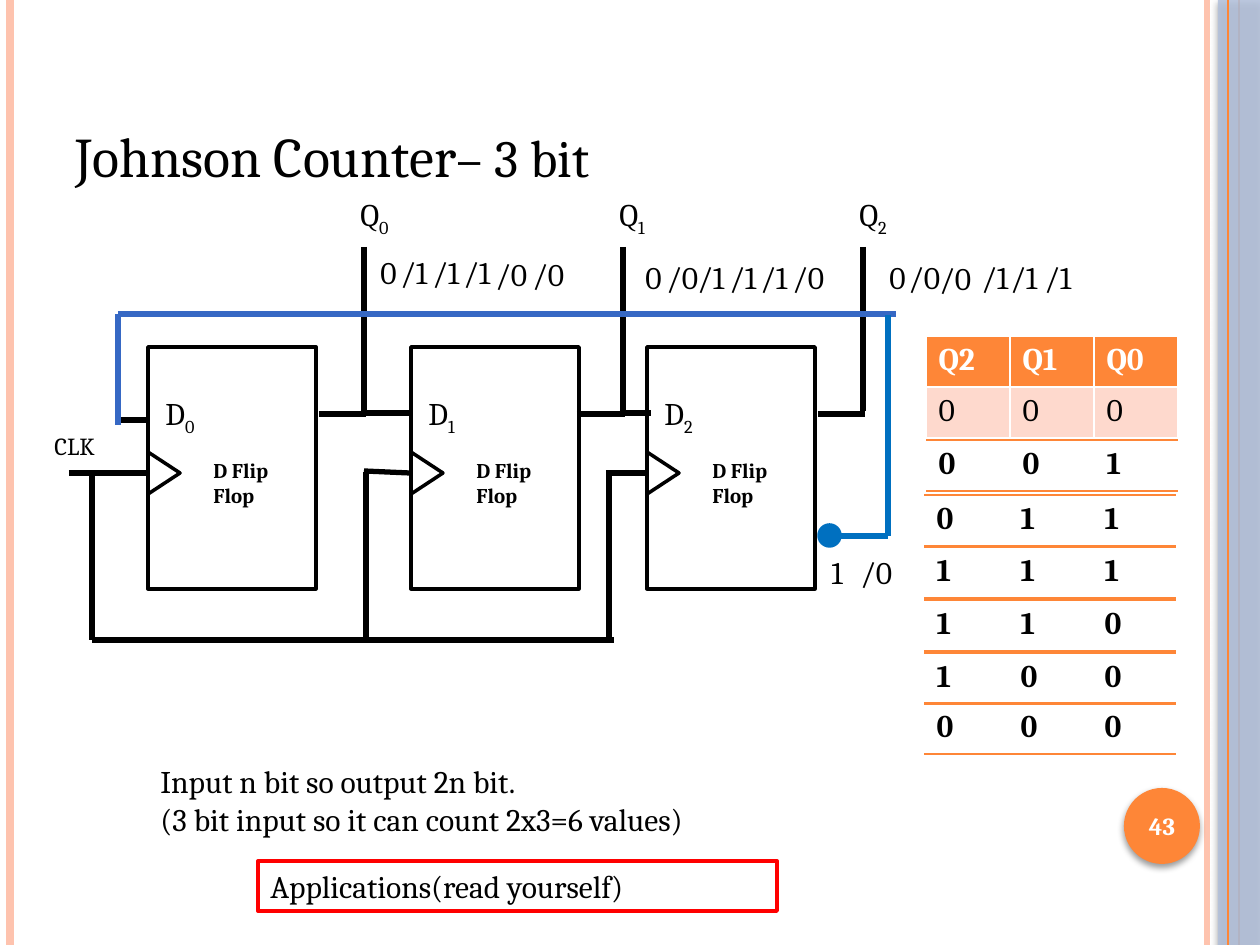
from dataclasses import dataclass
from lxml import etree
from pptx import Presentation
from pptx.dml.color import RGBColor
from pptx.enum.shapes import MSO_CONNECTOR, MSO_SHAPE
from pptx.enum.text import MSO_ANCHOR, PP_ALIGN
from pptx.oxml.ns import qn
from pptx.util import Emu, Pt

RECT, OVAL, WEDGE = MSO_SHAPE.RECTANGLE, MSO_SHAPE.OVAL, MSO_SHAPE.ISOSCELES_TRIANGLE
STRAIGHT = MSO_CONNECTOR.STRAIGHT
TOP, MID, LOW = MSO_ANCHOR.TOP, MSO_ANCHOR.MIDDLE, MSO_ANCHOR.BOTTOM
LEFT, MIDST = PP_ALIGN.LEFT, PP_ALIGN.CENTER
BLACK, WHITE, ORANGE, PEACH = "000000", "FFFFFF", "FE8637", "FEC3AE"
PINK, BLUE, NAVY, RED, STEEL = "FED9CD", "0070C0", "3668C4", "FF0000", "B3C1DB"


def px(n):
    return Emu(round(n * 914400 / 126))


def rgb(code):
    return RGBColor.from_string(code)


def node(root, tag, **attrs):
    return etree.SubElement(root, qn(tag), attrs)


@dataclass
class Board:
    """Draws styled elements on the current slide."""
    slide: object
    face: str = "Cambria"

    def style(self, para, size, color, bold):
        font = para.font
        font.name, font.size, font.bold = self.face, Pt(size), bold
        font.color.rgb = rgb(color)

    def fill(self, frame, text, size=18, color=BLACK, bold=False, align=LEFT, anchor=TOP):
        frame.word_wrap = True
        frame.vertical_anchor = anchor
        for i, line in enumerate(text.split("\n")):
            para = frame.add_paragraph() if i else frame.paragraphs[0]
            para.add_run().text = line
            para.alignment = align
            self.style(para, size, color, bold)
        return para

    def text(self, x, y, w, h, words, **look):
        box = self.slide.shapes.add_textbox(px(x), px(y), px(w), px(h))
        return self.fill(box.text_frame, words, **look)

    def label(self, x, y, name, sub):
        run = self.text(x, y, 79, 55, name).add_run()
        run.text = str(sub)
        run._r.get_or_add_rPr().set("baseline", "-25000")

    def line(self, x1, y1, x2, y2, color=BLACK, width=3):
        wire = self.slide.shapes.add_connector(STRAIGHT, px(x1), px(y1), px(x2), px(y2))
        wire.line.color.rgb = rgb(color)
        wire.line.width = Pt(width)
        node(wire._element.spPr, "a:effectLst")

    def shape(self, kind, x, y, w, h, fill=None, line=None, width=2, alpha=100, glow=False):
        item = self.slide.shapes.add_shape(kind, px(x), px(y), px(w), px(h))
        item.shadow.inherit = False
        if fill:
            item.fill.solid()
            item.fill.fore_color.rgb = rgb(fill)
            tint = item._element.spPr.find(".//" + qn("a:srgbClr"))
            if alpha < 100:
                node(tint, "a:alpha", val=str(alpha * 1000))
        else:
            item.fill.background()
        if line:
            item.line.color.rgb = rgb(line)
            item.line.width = Pt(width)
        else:
            item.line.fill.background()
        if glow:
            blur = node(item._element.spPr.find(qn("a:effectLst")), "a:outerShdw",
                        blurRad=str(Pt(4)), dist=str(Pt(2)), dir="5400000", rotWithShape="0")
            node(node(blur, "a:srgbClr", val=BLACK), "a:alpha", val="40000")
        return item

    def table(self, x, y, rows, fills=(None,), inks=(BLACK,), bolds=(True,)):
        grid = self.slide.shapes.add_table(
            len(rows), 3, px(x), px(y), px(252), px(51 * len(rows))).table
        grid.first_row = fills[0] is not None
        grid.horz_banding = False
        for r, row in enumerate(rows):
            for c, word in enumerate(row):
                cell = grid.cell(r, c)
                self.fill(cell.text_frame, word, color=inks[r], bold=bolds[r])
                if fills[r]:
                    cell.fill.solid()
                    cell.fill.fore_color.rgb = rgb(fills[r])
                else:
                    self.rule(cell)
                    cell.fill.background()

    def rule(self, cell):
        props = cell._tc.get_or_add_tcPr()
        for side in "LR":
            node(node(props, "a:ln" + side), "a:noFill")
        for side in "TB":
            edge = node(props, "a:ln" + side, w=str(Pt(0.96)))
            node(node(edge, "a:solidFill"), "a:srgbClr", val=ORANGE)

    def gate(self, x, sub):
        self.shape(RECT, x, 347, 168, 242, line=BLACK)
        self.shape(WEDGE, x - 5, 457, 42, 32, line=BLACK).rotation = 90
        self.label(x + 5, 388, "D", sub)
        self.text(x + 53, 451, 116, 63, "D Flip Flop", size=12, bold=True)


def main():
    deck = Presentation()
    deck.slide_width, deck.slide_height = px(1260), px(945)
    board = Board(deck.slides.add_slide(deck.slide_layouts[6]))

    for x, color, width in ((1207, PEACH, 3), (10, PEACH, 4.5), (1239, ORANGE, 1.5)):
        board.line(x, 0, x, 945, color, width)
    board.shape(RECT, 1218, 0, 42, 945, fill=STEEL, alpha=87, glow=True)
    board.line(1228, 0, 1228, 945, ORANGE, 0.75)
    board.shape(OVAL, 1124, 788, 76, 76, fill=ORANGE, glow=True)
    board.text(1120, 790, 84, 72, "43", size=14, color=WHITE, bold=True,
               align=MIDST, anchor=MID)

    title = board.text(63, 38, 1029, 157, "Johnson Counter", size=32, anchor=LOW)
    tail = title.add_run()
    tail.text = "– 3 bit"
    tail.font.size = Pt(30)

    for sub, (x, out) in enumerate(((148, 364), (411, 623), (647, 863))):
        board.gate(x, sub)
        board.label(out - 16, 189, "Q", sub)
        board.line(out, 247, out, 411)

    wires = ((69, 473, 148, 473), (118, 420, 147, 420), (319, 414, 366, 414),
             (363, 413, 411, 413), (577, 414, 625, 414), (620, 413, 651, 413),
             (818, 414, 865, 414), (364, 471, 410, 473), (606, 473, 647, 473),
             (92, 474, 92, 640), (366, 472, 366, 640), (609, 474, 609, 640),
             (92, 640, 614, 640))
    for wire in wires:
        board.line(*wire)
    board.text(42, 425, 96, 42, "CLK", size=14)

    board.line(824, 536, 888, 536, BLUE)
    board.shape(OVAL, 819, 525, 21, 21, fill=BLUE, line=BLUE)
    board.line(118, 314, 896, 314, NAVY)
    board.line(118, 314, 118, 425, NAVY)
    board.line(888, 315, 888, 536, BLUE)

    states = (
        (247, ((368, "0"), (388, "/1"), (420, "/1"), (451, "/1"))),
        (249, ((483, "/0"), (520, "/0"))),
        (252, ((633, "0"), (654, "/0"), (685, "/1"), (717, "/1"), (748, "/1"), (780, "/0"))),
        (252, ((877, "0"), (896, "/0"), (969, "/1"), (998, "/1"), (1032, "/1"))),
        (253, ((927, "/0"),)),
        (547, ((819, "1"), (848, "/0"))),
    )
    for y, marks in states:
        for x, mark in marks:
            board.text(x, y, 60, 50, mark)

    board.table(926, 336, (("Q2", "Q1", "Q0"), "000"), (ORANGE, PINK), (WHITE, BLACK),
                (True, False))
    for x, y, bits in ((926, 440, "001"), (924, 495, "011"), (924, 547, "111"),
                       (924, 600, "110"), (924, 653, "100"), (924, 703, "000")):
        board.table(x, y, (bits,))

    board.text(148, 756, 660, 88,
               "Input n bit so output 2n bit.\n(3 bit input so it can count 2x3=6 values)")
    note = board.shape(RECT, 258, 861, 519, 50, line=RED, width=2.25)
    board.fill(note.text_frame, "Applications(read yourself)")
    deck.save("out.pptx")


if __name__ == "__main__":
    main()
